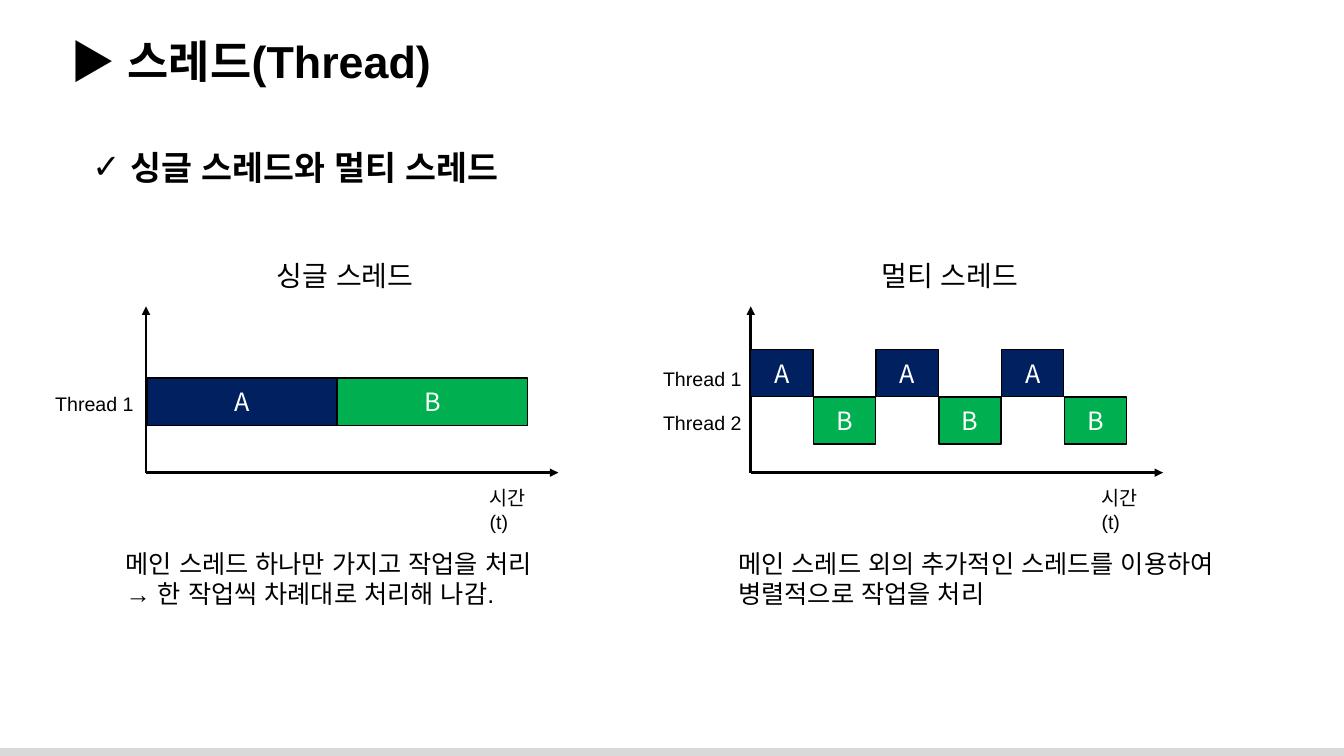
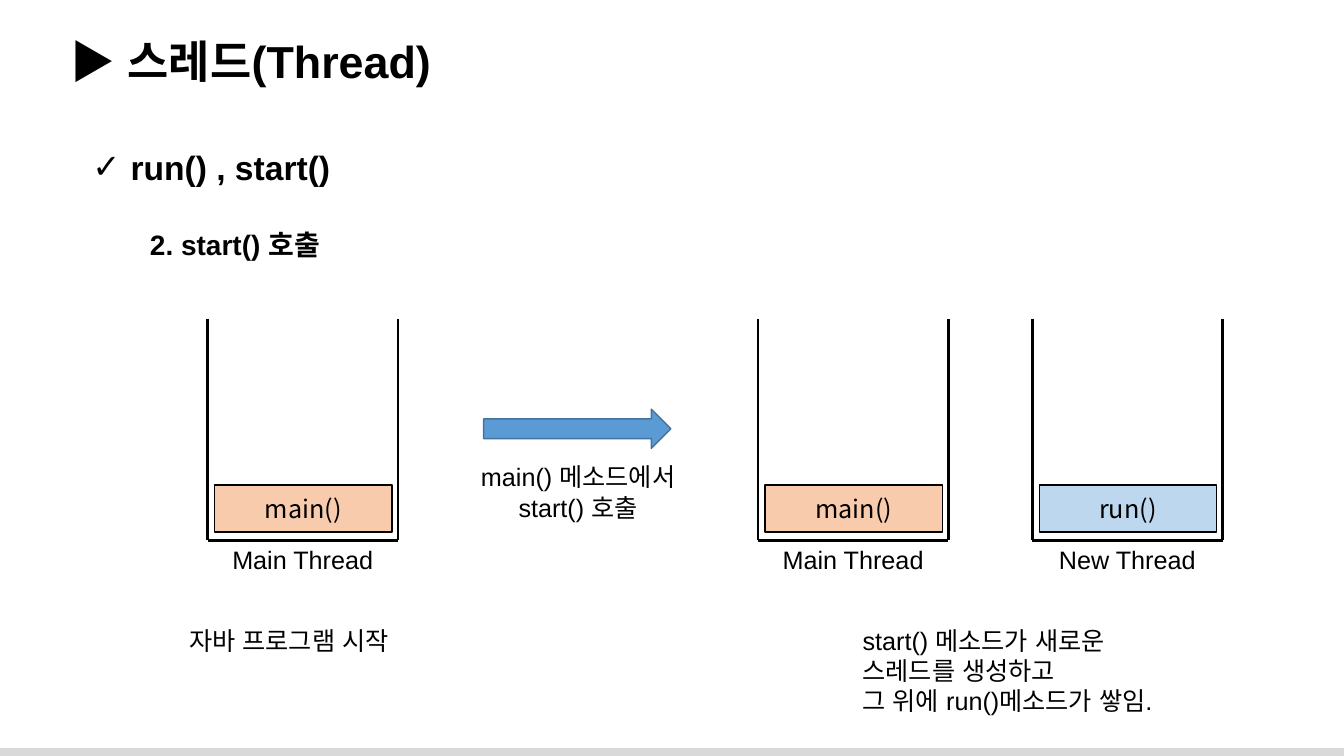
from pptx import Presentation
from pptx.dml.color import RGBColor
from pptx.enum.shapes import MSO_CONNECTOR, MSO_SHAPE
from pptx.enum.text import MSO_ANCHOR, MSO_AUTO_SIZE, PP_ALIGN
from pptx.oxml.ns import qn
from pptx.util import Cm, Pt
from lxml.etree import SubElement

BLACK, WHITE, GRAY = "000000", "FFFFFF", "D9D9D9"
NAVY, GREEN, PEACH, SKY = "002060", "00B050", "F8CBAD", "BDD7EE"
ARROW_FILL, ARROW_LINE = "5B9BD5", "43739E"
TEXT_FONT, BLOCK_FONT = "Arial", "Noto Sans CJK KR"


def color(hex_code):
    return RGBColor.from_string(hex_code)


def write(frame, text, size=18, font=TEXT_FONT, ink=BLACK, bold=False,
          align=PP_ALIGN.LEFT, anchor=MSO_ANCHOR.TOP, bullet=None):
    """Fill a text frame, one paragraph for each line of text."""
    frame.word_wrap = True
    frame.auto_size = MSO_AUTO_SIZE.NONE
    frame.vertical_anchor = anchor
    for number, line in enumerate(text.split("\n")):
        para = frame.add_paragraph() if number else frame.paragraphs[0]
        para.alignment = align
        span = para.add_run()
        span.text = line
        span.font.size, span.font.name, span.font.bold = Pt(size), font, bold
        span.font.color.rgb = color(ink)
        SubElement(span.font._element, qn("a:ea"), typeface=font)
        if bullet:
            properties = para._p.get_or_add_pPr()
            properties.set("marL", str(Cm(0.96)))
            properties.set("indent", str(-Cm(0.96)))
            SubElement(properties, qn("a:buFont"), typeface=TEXT_FONT)
            SubElement(properties, qn("a:buChar"), char=bullet)


deck = Presentation()
deck.slide_width, deck.slide_height = Cm(33.87), Cm(19.05)

# Shared title place and pages
layout = deck.slide_layouts[5]
title = layout.placeholders[0]
title.left, title.top, title.width, title.height = Cm(1.52), Cm(0.71), Cm(32), Cm(1.63)

compare, start = [deck.slides.add_slide(layout) for _ in range(2)]
for page, subtitle in ((compare, "싱글 스레드와 멀티 스레드"), (start, "run() , start()")):
    write(page.shapes.title.text_frame, "▶ 스레드(Thread)", size=32, bold=True)
    box = page.shapes.add_textbox(Cm(2.08), Cm(3.58), Cm(14), Cm(1.27))
    write(box.text_frame, subtitle, size=24, bold=True, bullet="✓")

# Footer band, moved to the master
band = compare.shapes.add_shape(MSO_SHAPE.RECTANGLE, Cm(-0.08), Cm(18.85), Cm(34.01), Cm(0.28))
band.shadow.inherit = False
band.fill.solid()
band.fill.fore_color.rgb = color(GRAY)
band.line.fill.background()
band.element.nvSpPr.cNvPr.set("id", "20")
deck.slide_master.shapes.element.append(band.element)

lines = []   # page, x1, y1, x2, y2, arrowhead
blocks = []  # page, text, left, top, width, fill, ink
texts = []   # page, text, left, top, width, format

# Time charts of the first page
AXIS_TOP, AXIS_BOTTOM, AXIS_LENGTH = 7.72, 11.91, 10.39
SINGLE_AXIS, MULTI_AXIS = 3.68, 18.92
charts = (
    (SINGLE_AXIS, "싱글 스레드", 12.09, 2.92,
     "메인 스레드 하나만 가지고 작업을 처리\n→ 한 작업씩 차례대로 처리해 나감."),
    (MULTI_AXIS, "멀티 스레드", 27.51, 18.36,
     "메인 스레드 외의 추가적인 스레드를 이용하여\n병렬적으로 작업을 처리"),
)
for axis, heading, time_left, caption_left, caption in charts:
    lines += [
        (compare, axis, AXIS_BOTTOM, axis, AXIS_TOP, True),
        (compare, axis, AXIS_BOTTOM, axis + AXIS_LENGTH, AXIS_BOTTOM, True),
    ]
    texts += [
        (compare, heading, axis + 3.04, 6.4, 4.32, {"size": 20}),
        (compare, "시간(t)", time_left, 12.12, 1.8, {"size": 14}),
        (compare, caption, caption_left, 13.69, 13.84, {}),
    ]
for label, left, top in (("Thread 1", 1.14, 9.75), ("Thread 1", 16.46, 9.12),
                         ("Thread 2", 16.46, 10.24)):
    texts.append((compare, label, left, top, 2.8, {"size": 14}))

tasks = (("A", NAVY), ("B", GREEN))
for number, (task, fill) in enumerate(tasks):
    blocks.append((compare, task, SINGLE_AXIS + 0.03 + 4.8 * number, 9.53, 4.78, fill, WHITE))
for number in range(6):
    row = number % 2
    task, fill = tasks[row]
    blocks.append((compare, task, MULTI_AXIS + 1.58 * number, 8.81 + 1.19 * row,
                   1.57, fill, WHITE))

# Call stacks of the second page
STACK_TOP, STACK_BOTTOM, STACK_WIDTH = 8.03, 13.61, 4.8
for left, label, call, fill in ((5.23, "Main Thread", "main()", PEACH),
                                (19.1, "Main Thread", "main()", PEACH),
                                (26.01, "New Thread", "run()", SKY)):
    right = left + STACK_WIDTH
    lines += [
        (start, left, STACK_TOP, left, STACK_BOTTOM, False),
        (start, right, STACK_TOP, right, STACK_BOTTOM, False),
        (start, left, STACK_BOTTOM, right, STACK_BOTTOM, False),
    ]
    blocks.append((start, call, left + 0.18, 12.22, 4.47, fill, BLACK))
    texts.append((start, label, left, 13.59, STACK_WIDTH, {"align": PP_ALIGN.CENTER}))

texts += [
    (start, "2. start() 호출", 3.53, 5.61, 7, {"size": 20, "bold": True}),
    (start, "main() 메소드에서\nstart() 호출", 11.46, 11.51, 6.22, {"align": PP_ALIGN.CENTER}),
    (start, "자바 프로그램 시작", 4.52, 15.62, 6.22, {}),
    (start, "start() 메소드가 새로운 스레드를 생성하고\n그 위에 run()메소드가 쌓임.",
     21.49, 15.62, 8.64, {}),
]

# Arrow between the stacks
arrow = start.shapes.add_shape(MSO_SHAPE.RIGHT_ARROW, Cm(12.19), Cm(10.31), Cm(4.72), Cm(0.99))
arrow.shadow.inherit = False
arrow.fill.solid()
arrow.fill.fore_color.rgb = color(ARROW_FILL)
arrow.line.color.rgb = color(ARROW_LINE)
arrow.line.width = Pt(1)

# Draw lines, blocks and texts
for page, x1, y1, x2, y2, arrowhead in lines:
    line = page.shapes.add_connector(MSO_CONNECTOR.STRAIGHT, Cm(x1), Cm(y1), Cm(x2), Cm(y2))
    line.line.color.rgb = color(BLACK)
    line.line.width = Pt(2)
    if arrowhead:
        SubElement(line.line._get_or_add_ln(), qn("a:tailEnd"), type="triangle")
    SubElement(line._element.spPr, qn("a:effectLst"))

for page, text, left, top, width, fill, ink in blocks:
    block = page.shapes.add_shape(MSO_SHAPE.RECTANGLE, Cm(left), Cm(top), Cm(width), Cm(1.19))
    block.shadow.inherit = False
    block.fill.solid()
    block.fill.fore_color.rgb = color(fill)
    block.line.color.rgb = color(BLACK)
    block.line.width = Pt(1)
    write(block.text_frame, text, font=BLOCK_FONT, ink=ink,
          align=PP_ALIGN.CENTER, anchor=MSO_ANCHOR.MIDDLE)

for page, text, left, top, width, style in texts:
    box = page.shapes.add_textbox(Cm(left), Cm(top), Cm(width), Cm(1))
    write(box.text_frame, text, **style)

deck.save("out.pptx")
